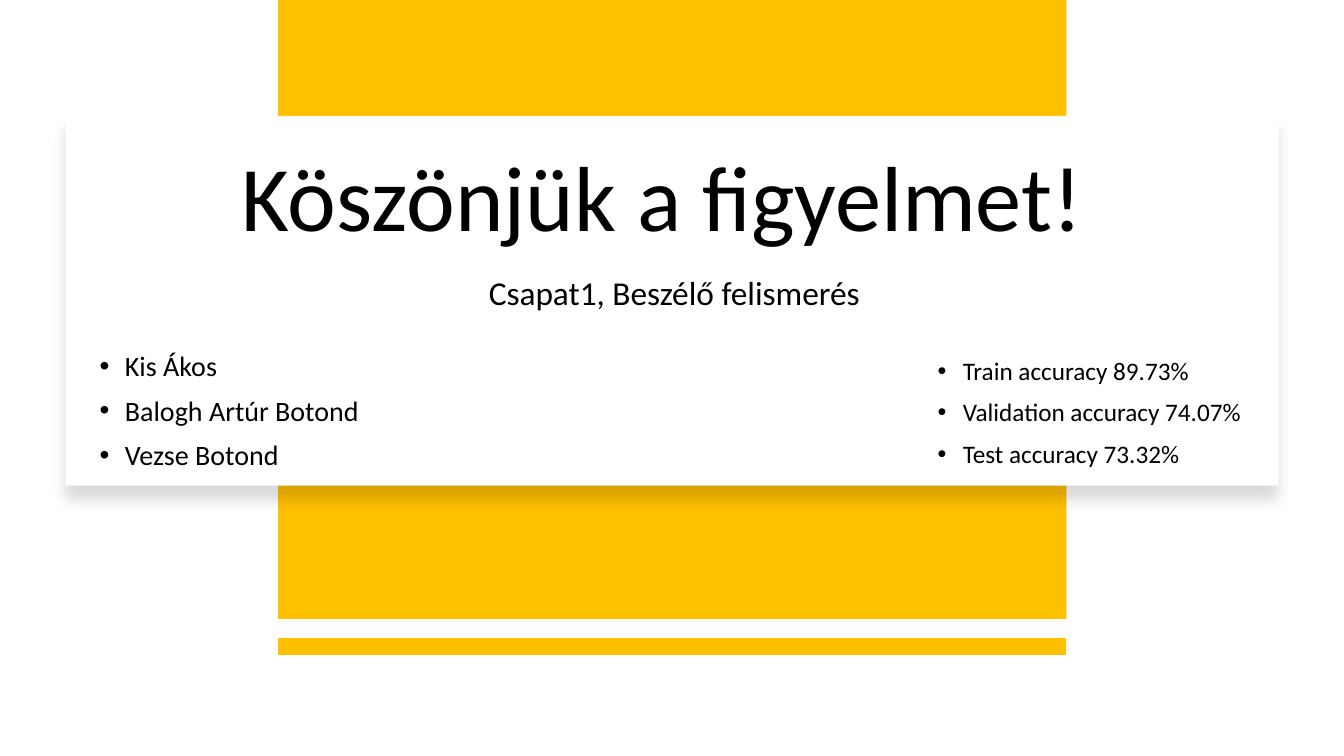
from dataclasses import dataclass

from lxml.etree import SubElement
from pptx import Presentation
from pptx.dml.color import RGBColor
from pptx.enum.shapes import MSO_CONNECTOR, MSO_SHAPE
from pptx.enum.text import MSO_ANCHOR, PP_ALIGN
from pptx.oxml.ns import qn
from pptx.util import Inches, Pt


@dataclass(frozen=True)
class Theme:
    font: str = "Calibri"
    ink: RGBColor = RGBColor(0, 0, 0)
    paper: RGBColor = RGBColor(255, 255, 255)
    accent: RGBColor = RGBColor(255, 192, 0)
    title: float = 66
    subtitle: float = 23.8
    names: float = 20
    scores: float = 18
    stripe: float = 12


THEME = Theme()
WIDTH, HEIGHT = Inches(13.33), Inches(7.5)


def place(left, top, width, height):
    """Turn percentages of the slide into lengths."""
    return (round(WIDTH * left / 100), round(HEIGHT * top / 100),
            round(WIDTH * width / 100), round(HEIGHT * height / 100))


def add_panel(page, area, color):
    panel = page.shapes.add_shape(MSO_SHAPE.RECTANGLE, *place(*area))
    panel.shadow.inherit = False
    panel.fill.solid()
    panel.fill.fore_color.rgb = color
    panel.line.fill.background()
    return panel


def cast_shadow(panel, blur, distance, opacity):
    effects = panel._element.spPr.find(qn("a:effectLst"))
    shadow = SubElement(effects, qn("a:outerShdw"), blurRad=str(Pt(blur)),
                        dist=str(Pt(distance)), dir=str(90 * 60000),
                        algn="t", rotWithShape="0")
    color = SubElement(shadow, qn("a:srgbClr"), val=str(THEME.ink))
    SubElement(color, qn("a:alpha"), val=str(opacity * 1000))


def add_stripe(page, left, right, level):
    start_x, y, end_x, _ = place(left, level, right, 0)
    stripe = page.shapes.add_connector(MSO_CONNECTOR.STRAIGHT, end_x, y, start_x, y)
    stripe.line.color.rgb = THEME.accent
    stripe.line.width = Pt(THEME.stripe)
    SubElement(stripe._element.spPr, qn("a:effectLst"))


def add_bullet(para):
    properties = para._p.get_or_add_pPr()
    properties.set("marL", str(Inches(0.25)))
    properties.set("indent", str(Inches(-0.25)))
    SubElement(properties, qn("a:buFont"), typeface="Arial")
    SubElement(properties, qn("a:buChar"), char="•")


def add_text(page, area, lines, size, spacing=0.9, anchor=MSO_ANCHOR.TOP,
             align=PP_ALIGN.LEFT, bullets=False):
    box = page.shapes.add_textbox(*place(*area))
    frame = box.text_frame
    frame.word_wrap = True
    frame.vertical_anchor = anchor
    for index, line in enumerate(lines):
        para = frame.add_paragraph() if index else frame.paragraphs[0]
        para.alignment = align
        para.line_spacing = spacing
        if index:
            para.space_before = Pt(10)
        if bullets:
            add_bullet(para)
        span = para.add_run()
        span.text = line
        span.font.name = THEME.font
        span.font.size = Pt(size)
        span.font.color.rgb = THEME.ink


def main():
    deck = Presentation()
    deck.slide_width, deck.slide_height = WIDTH, HEIGHT
    page = deck.slides.add_slide(deck.slide_layouts[6])

    band_left, band_width = 20.7, 58.65
    add_stripe(page, band_left, band_left + band_width, 85.47)
    add_panel(page, (band_left, -0.27, band_width, 82.13), THEME.accent)
    card = add_panel(page, (4.88, 15.33, 90.25, 48.93), THEME.paper)
    cast_shadow(card, blur=11, distance=10, opacity=15)

    add_text(page, (11.78, 8, 75.02, 37.2), ["Köszönjük a figyelmet!"],
             THEME.title, anchor=MSO_ANCHOR.MIDDLE, align=PP_ALIGN.CENTER)
    add_text(page, (6.68, 46, 30.08, 18.13),
             ["Kis Ákos", "Balogh Artúr Botond", "Vezse Botond"],
             THEME.names, bullets=True)
    add_text(page, (35.63, 36.4, 30.76, 9.2), ["Csapat1, Beszélő felismerés"],
             THEME.subtitle, spacing=0.8)
    add_text(page, (69.02, 44.4, 24.76, 20.67),
             ["Train accuracy 89.73%", "Validation accuracy 74.07%",
              "Test accuracy 73.32%"],
             THEME.scores, anchor=MSO_ANCHOR.MIDDLE, bullets=True)

    deck.save("out.pptx")


if __name__ == "__main__":
    main()
